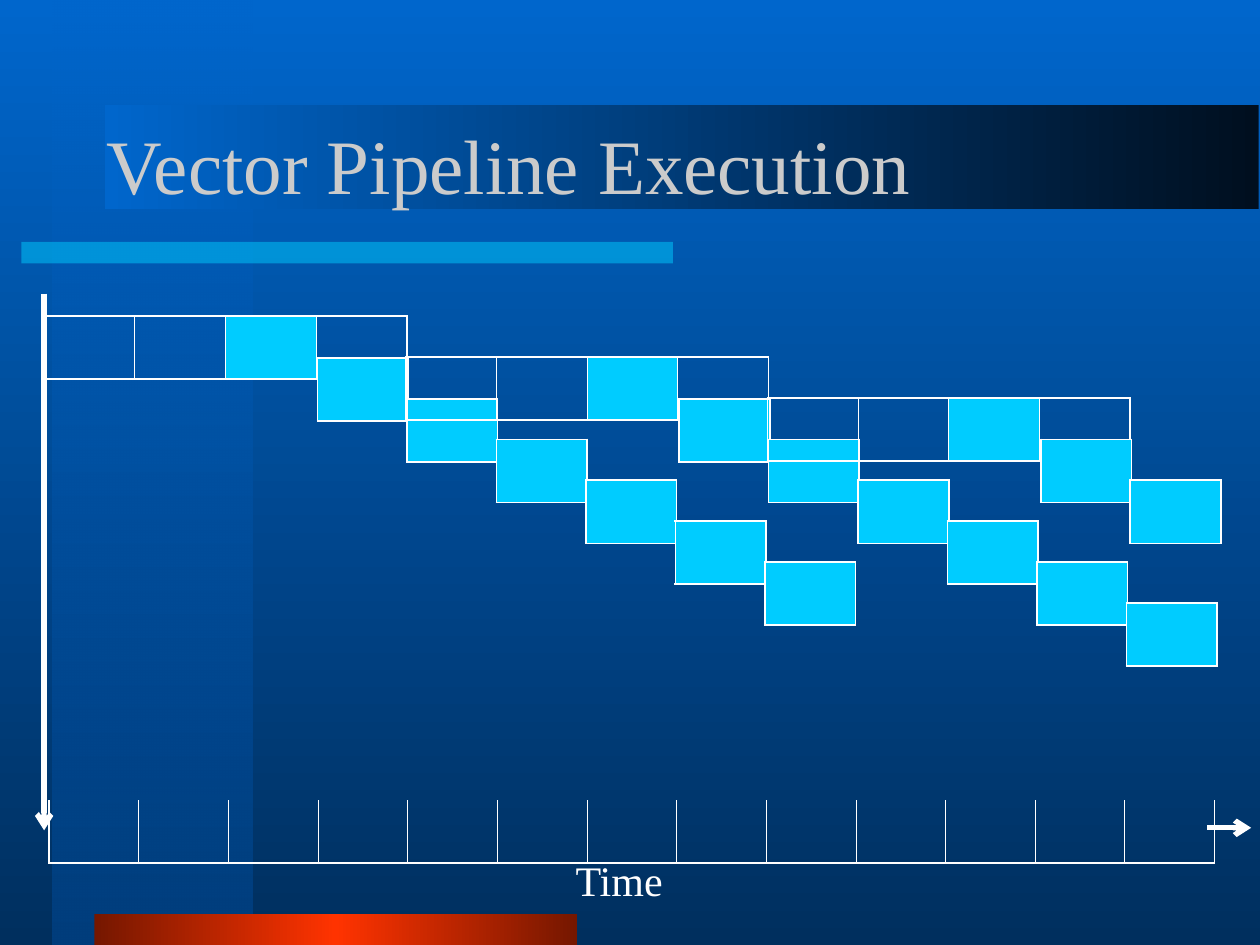
from dataclasses import dataclass

from lxml.etree import SubElement
from pptx import Presentation
from pptx.dml.color import RGBColor
from pptx.enum.shapes import MSO_CONNECTOR as Connector, MSO_SHAPE as Shape
from pptx.enum.text import MSO_ANCHOR as Anchor, MSO_AUTO_SIZE as AutoSize
from pptx.oxml.ns import qn
from pptx.util import Inches, Pt

PLAIN_TABLE = "{2D5ABB26-0587-4C30-8999-92F81FD0307C}"


@dataclass(frozen=True)
class Theme:
    font: str = "Times New Roman"
    title_size: int = 44
    body_size: int = 24
    title: str = "CBCBCB"
    ink: str = "FFFFFF"
    busy: str = "00CCFF"
    sky: str = "0066CC"
    deep: str = "002F5E"
    column: str = "003E7D"
    night: str = "000F1F"
    rust: str = "751700"
    flame: str = "FF3300"
    outer: float = 1.08
    inner: float = 0.45
    axis: float = 3


@dataclass(frozen=True)
class Grid:
    """Pipeline grid in inches: one column per cycle, one row per vector element."""
    left: float = 0.35
    top: float = 2.51
    cycle: float = 0.71
    row: float = 1.62 / 5
    cell_width: float = 0.72
    cell_height: float = 0.33
    issue: float = 2.87  # distance between successive instructions

    def instruction(self, number):
        return self.left + number * self.issue, self.top + number * self.row

    def element(self, number, index):
        x, y = self.instruction(number)
        return (x + 3 * self.cell_width + 0.01 + index * self.cycle,
                y + self.cell_height + index * self.row)


def add_color(parent, color, alpha=100):
    node = SubElement(parent, qn("a:srgbClr"), val=color)
    if alpha < 100:
        SubElement(node, qn("a:alpha"), val=str(alpha * 1000))


def paint_gradient(fill, angle, stops):
    """Stops are (percent, colour[, alpha]); angle runs clockwise."""
    fill.gradient()
    fill.gradient_angle = -angle % 360
    stop_list = fill.gradient_stops[0]._gs.getparent()
    for old in list(stop_list):
        stop_list.remove(old)
    for position, *color in stops:
        add_color(SubElement(stop_list, qn("a:gs"), pos=str(position * 1000)), *color)


class PipelineSlide:
    def __init__(self, deck, theme):
        self.theme = theme
        self.slide = deck.slides.add_slide(deck.slide_layouts[6])
        self.shapes = self.slide.shapes

    def background(self, angle, stops):
        paint_gradient(self.slide.background.fill, angle, stops)

    def panel(self, x, y, width, height):
        panel = self.shapes.add_shape(Shape.RECTANGLE, *map(Inches, (x, y, width, height)))
        panel.shadow.inherit = False
        panel.line.fill.background()
        return panel

    def gradient_panel(self, *box, angle, stops):
        paint_gradient(self.panel(*box).fill, angle, stops)

    def tinted_panel(self, *box, color, alpha):
        fill = self.panel(*box).fill
        fill.solid()
        fill.fore_color.rgb = RGBColor.from_string(color)
        tint = fill._xPr.find(qn("a:solidFill"))[0]
        SubElement(tint, qn("a:alpha"), val=str(alpha * 1000))

    def text(self, x, y, width, height, words, size, color, wrap=True):
        box = self.shapes.add_textbox(*map(Inches, (x, y, width, height)))
        frame = box.text_frame
        frame.word_wrap = wrap
        if wrap:
            frame.vertical_anchor = Anchor.MIDDLE
        else:
            frame.auto_size = AutoSize.SHAPE_TO_FIT_TEXT
        run = frame.paragraphs[0].add_run()
        run.text = words
        run.font.name, run.font.size = self.theme.font, Pt(size)
        run.font.color.rgb = RGBColor.from_string(color)

    def arrow(self, start, end):
        ends = map(Inches, (*start, *end))
        arrow = self.shapes.add_connector(Connector.STRAIGHT, *ends)
        arrow.line.width = Pt(self.theme.axis)
        arrow.line.color.rgb = RGBColor.from_string(self.theme.ink)
        SubElement(arrow.line._get_or_add_ln(), qn("a:tailEnd"), type="arrow")
        SubElement(arrow._element.spPr, qn("a:effectLst"))

    def border(self, cell, side, width):
        line = SubElement(cell._tc.get_or_add_tcPr(), qn(f"a:ln{side}"), w=str(Pt(width)))
        add_color(SubElement(line, qn("a:solidFill")), self.theme.ink)

    def strip(self, x, y, columns, cell_width, cell_height, busy=(), sides="LRTB"):
        """One-row table whose busy columns are filled."""
        theme = self.theme
        box = map(Inches, (x, y, columns * cell_width, cell_height))
        table = self.shapes.add_table(1, columns, *box).table
        table.first_row = table.horz_banding = False
        table._tbl.tblPr.find(qn("a:tableStyleId")).text = PLAIN_TABLE
        for index in range(columns):
            table.columns[index].width = Inches(cell_width)
            cell = table.cell(0, index)
            edges = {"L": index == 0, "R": index == columns - 1}
            for side in sides:
                self.border(cell, side, theme.outer if edges.get(side, True) else theme.inner)
            if index in busy:
                cell.fill.solid()
                cell.fill.fore_color.rgb = RGBColor.from_string(theme.busy)
            else:
                cell.fill.background()
            # The size of the empty line sets the drawn row height.
            mark = SubElement(cell.text_frame.paragraphs[0]._p, qn("a:endParaRPr"),
                              sz=str(theme.body_size * 100))
            SubElement(mark, qn("a:latin"), typeface=theme.font)


def main():
    deck = Presentation()
    deck.slide_width, deck.slide_height = Inches(10), Inches(7.5)
    theme, grid = Theme(), Grid()
    page = PipelineSlide(deck, theme)

    page.background(90, [(0, theme.sky), (100, theme.deep)])
    page.gradient_panel(0.42, 0, 1.58, 7.5, angle=90,
                        stops=[(0, theme.sky, 50), (100, theme.column)])
    page.tinted_panel(0.17, 1.92, 5.17, 0.17, color=theme.busy, alpha=50)
    page.gradient_panel(0.75, 7.25, 3.83, 0.25, angle=180,
                        stops=[(0, theme.rust), (50, theme.flame), (100, theme.rust)])
    page.gradient_panel(0.83, 0.83, 9.16, 0.83, angle=180,
                        stops=[(0, theme.night), (100, theme.sky)])
    page.text(0.75, 0.67, 8.5, 1.25, "Vector Pipeline Execution",
              theme.title_size, theme.title)

    cell = (grid.cell_width, grid.cell_height)
    for instruction, elements in enumerate((6, 6, 2)):
        page.strip(*grid.instruction(instruction), 4, *cell, busy={2})
        for element in range(elements):
            page.strip(*grid.element(instruction, element), 1, *cell, busy={0})

    page.arrow((grid.left, 2.33), (grid.left, 6.59))
    page.strip(0.39, 6.35, 13, 9.25 / 13, 0.24, sides="LRB")
    page.arrow((9.58, 6.57), (9.93, 6.57))
    page.text(4.47, 6.73, 0.9, 0.5, "Time", theme.body_size, theme.ink, wrap=False)

    deck.save("out.pptx")


if __name__ == "__main__":
    main()
